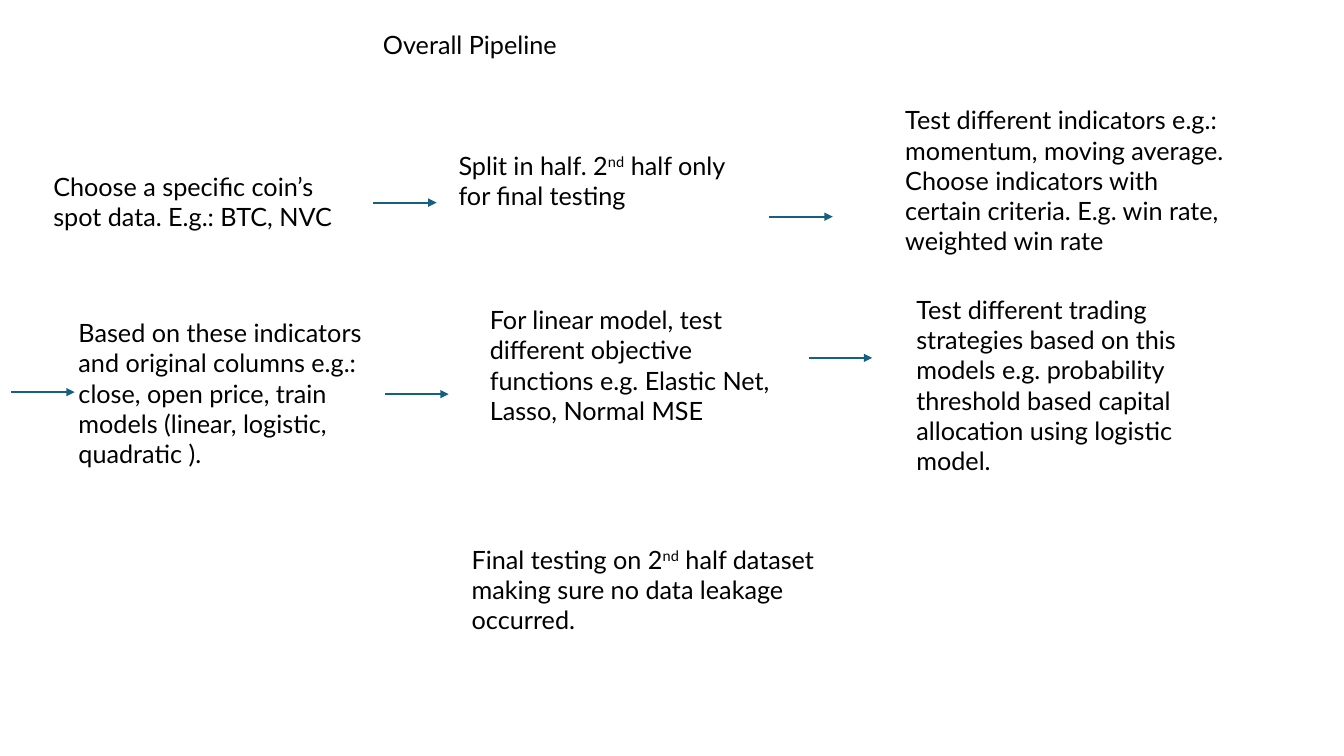
from dataclasses import dataclass

from lxml import etree
from pptx import Presentation
from pptx.dml.color import RGBColor
from pptx.enum.shapes import MSO_CONNECTOR
from pptx.enum.text import MSO_AUTO_SIZE
from pptx.oxml.ns import qn
from pptx.util import Inches, Pt


@dataclass(frozen=True)
class Theme:
    font: str = "Lato"
    size: Pt = Pt(18)
    ink: RGBColor = RGBColor(0x00, 0x00, 0x00)
    arrow: RGBColor = RGBColor(0x15, 0x60, 0x82)
    arrow_width: Pt = Pt(1.5)


THEME = Theme()
ARROW_LENGTH = 0.63
LEFT = 0.11  # left edge of the pipeline rows

# Places are relative to the row: text, x, y, width, height; then arrow x, y.
SELECTION_STEPS = [
    ("Choose a specific coin’s spot data. E.g.: BTC, NVC", 0.32, 0.66, 3.11, 0.71),
    ("Split in half. 2^nd^ half only for final testing", 4.34, 0.45, 2.96, 0.71),
    ("Test different indicators e.g.: momentum, moving average. Choose "
     "indicators with certain criteria. E.g. win rate, weighted win rate",
     8.77, 0, 3.48, 1.62),
]
SELECTION_ARROWS = [(3.59, 1.02), (7.52, 1.16)]

MODEL_STEPS = [
    ("Based on these indicators and original columns e.g.: close, open price, "
     "train models (linear, logistic, quadratic ).", 0.57, 0.23, 3.02, 1.62),
    ("For linear model, test different objective functions e.g. Elastic Net, "
     "Lasso, Normal MSE", 4.65, 0.1, 3.02, 1.31),
    ("Test different trading strategies based on this models e.g. probability "
     "threshold based capital allocation using logistic model.",
     8.88, 0, 3.48, 1.92),
]
MODEL_ARROWS = [(0, 1.02), (3.71, 1.04), (7.91, 0.68)]

FINAL_STEPS = [
    ("Final testing on 2^nd^ half dataset making sure no data leakage occurred.",
     4.47, 0, 3.81, 1.01),
]


def add_text(slide, text, left, top, width, height):
    """Add a wrapped text box; text between carets is superscript."""
    box = slide.shapes.add_textbox(
        Inches(left), Inches(top), Inches(width), Inches(height))
    tf = box.text_frame
    tf.word_wrap = True
    tf.auto_size = MSO_AUTO_SIZE.SHAPE_TO_FIT_TEXT
    p = tf.paragraphs[0]
    for i, part in enumerate(text.split("^")):
        r = p.add_run()
        r.text = part
        r.font.name = THEME.font
        r.font.size = THEME.size
        r.font.color.rgb = THEME.ink
        if i % 2:
            r.font._element.set("baseline", "30000")


def add_arrow(slide, left, top):
    line = slide.shapes.add_connector(
        MSO_CONNECTOR.STRAIGHT, Inches(left), Inches(top),
        Inches(left + ARROW_LENGTH), Inches(top))
    line.line.color.rgb = THEME.arrow
    line.line.width = THEME.arrow_width
    etree.SubElement(line.line._get_or_add_ln(), qn("a:tailEnd"), type="triangle")
    etree.SubElement(line._element.spPr, qn("a:effectLst"))


def add_row(slide, left, top, steps, arrows=()):
    for text, x, y, width, height in steps:
        add_text(slide, text, left + x, top + y, width, height)
    for x, y in arrows:
        add_arrow(slide, left + x, top + y)


def add_pipeline_slide(prs):
    slide = prs.slides.add_slide(prs.slide_layouts[6])
    add_text(slide, "Overall Pipeline", 3.7, 0.24, 5.29, 0.4)
    add_row(slide, LEFT, 0.99, SELECTION_STEPS, SELECTION_ARROWS)
    add_row(slide, LEFT, 2.87, MODEL_STEPS, MODEL_ARROWS)
    add_row(slide, LEFT, 5.35, FINAL_STEPS)


def main():
    prs = Presentation()
    prs.slide_width = Inches(13.33)
    prs.slide_height = Inches(7.5)
    add_pipeline_slide(prs)
    prs.save("out.pptx")


if __name__ == "__main__":
    main()
